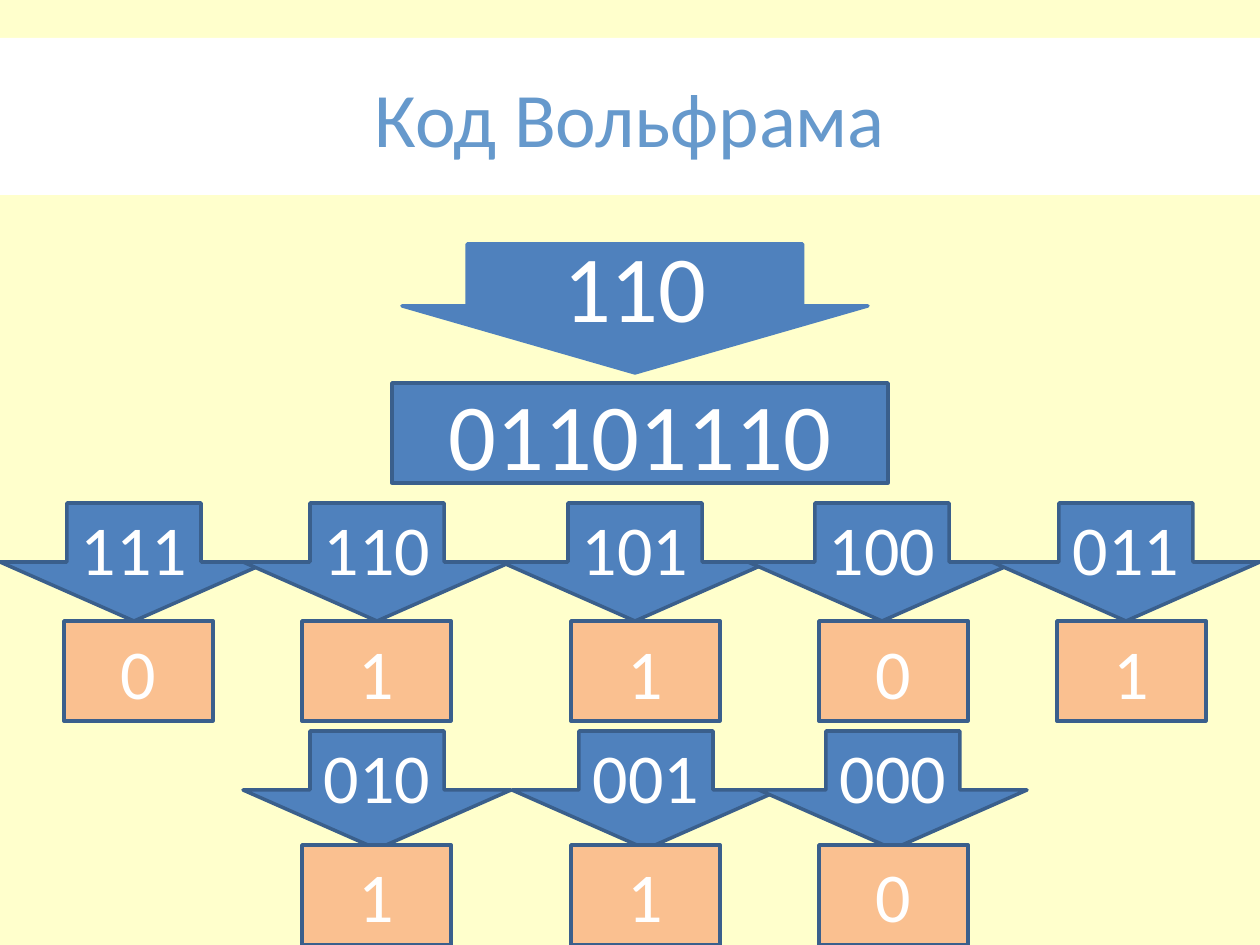
from pptx import Presentation
from pptx import util as u
from pptx.dml.color import RGBColor
from pptx.enum import shapes, text

PX = 914400 / 126
CREAM = RGBColor(0xFF, 0xFF, 0xCC)
WHITE = RGBColor(0xFF, 0xFF, 0xFF)
SKY = RGBColor(0x66, 0x99, 0xCC)
BLUE = RGBColor(0x4F, 0x81, 0xBD)
NAVY = RGBColor(0x3A, 0x5F, 0x8C)
PEACH = RGBColor(0xFA, 0xC0, 0x90)
ARROW = shapes.MSO_SHAPE.DOWN_ARROW
RECT = shapes.MSO_SHAPE.RECTANGLE

ARROW_W, ARROW_H = 268, 118
CELL_W, CELL_H = 149, 100


def emu(box):
    return [u.Emu(round(n * PX)) for n in box]


def write(shape, words, size, color):
    frame = shape.text_frame
    frame.word_wrap = True
    frame.vertical_anchor = text.MSO_ANCHOR.MIDDLE
    para = frame.paragraphs[0]
    para.alignment = text.PP_ALIGN.CENTER
    run = para.add_run()
    run.text = words
    run.font.color.rgb = color
    for key, value in {"name": "Calibri", "size": u.Pt(size)}.items():
        setattr(run.font, key, value)


def paint(shape, color):
    shape.fill.solid()
    shape.fill.fore_color.rgb = color


def block(slide, kind, box, words, size, fill=BLUE, edge=NAVY):
    shape = slide.shapes.add_shape(kind, *emu(box))
    shape.shadow.inherit = False
    paint(shape, fill)
    shape.line.color.rgb = edge
    shape.line.width = u.Pt(2)
    write(shape, words, size, WHITE)
    return shape


def title(slide, box, words):
    head = slide.shapes.title
    for key, value in zip(("left", "top", "width", "height"), emu(box)):
        setattr(head, key, value)
    paint(head, WHITE)
    write(head, words, 44, SKY)


def number(slide, box, rule, bits):
    """Show the rule number above its binary form."""
    x, y, w, h = box
    arrow = block(slide, ARROW, (x + 10, y, 466, 129), rule, 54, edge=BLUE)
    arrow.adjustments[0] = 0.72
    arrow.adjustments[1] = 0.52
    block(slide, RECT, (x, y + h - CELL_H, w, CELL_H), bits, 54)


def rules(slide, top, drop, items):
    """Draw a row of patterns, each pointing to its result."""
    for words, _, left, _ in items:
        block(slide, ARROW, (left, top, ARROW_W, ARROW_H), words, 40)
    for _, bit, _, left in items:
        block(slide, RECT, (left, top + drop, CELL_W, CELL_H), bit, 40, PEACH)


def main():
    deck = Presentation()
    deck.slide_width, deck.slide_height = emu((1260, 945))
    slide = deck.slides.add_slide(deck.slide_layouts[5])
    paint(slide.background, CREAM)
    title(slide, (0, 38, 1260, 157), "Код Вольфрама")
    number(slide, (392, 244, 496, 239), "110", "01101110")
    # pattern, result, left of arrow, left of cell
    rules(slide, 503, 118, [
        ("111", "0", 0, 64),
        ("110", "1", 243, 302),
        ("101", "1", 501, 571),
        ("100", "0", 748, 819),
        ("011", "1", 992, 1057),
    ])
    rules(slide, 731, 114, [
        ("010", "1", 243, 302),
        ("001", "1", 512, 571),
        ("000", "0", 759, 819),
    ])
    deck.save("out.pptx")


if __name__ == "__main__":
    main()
